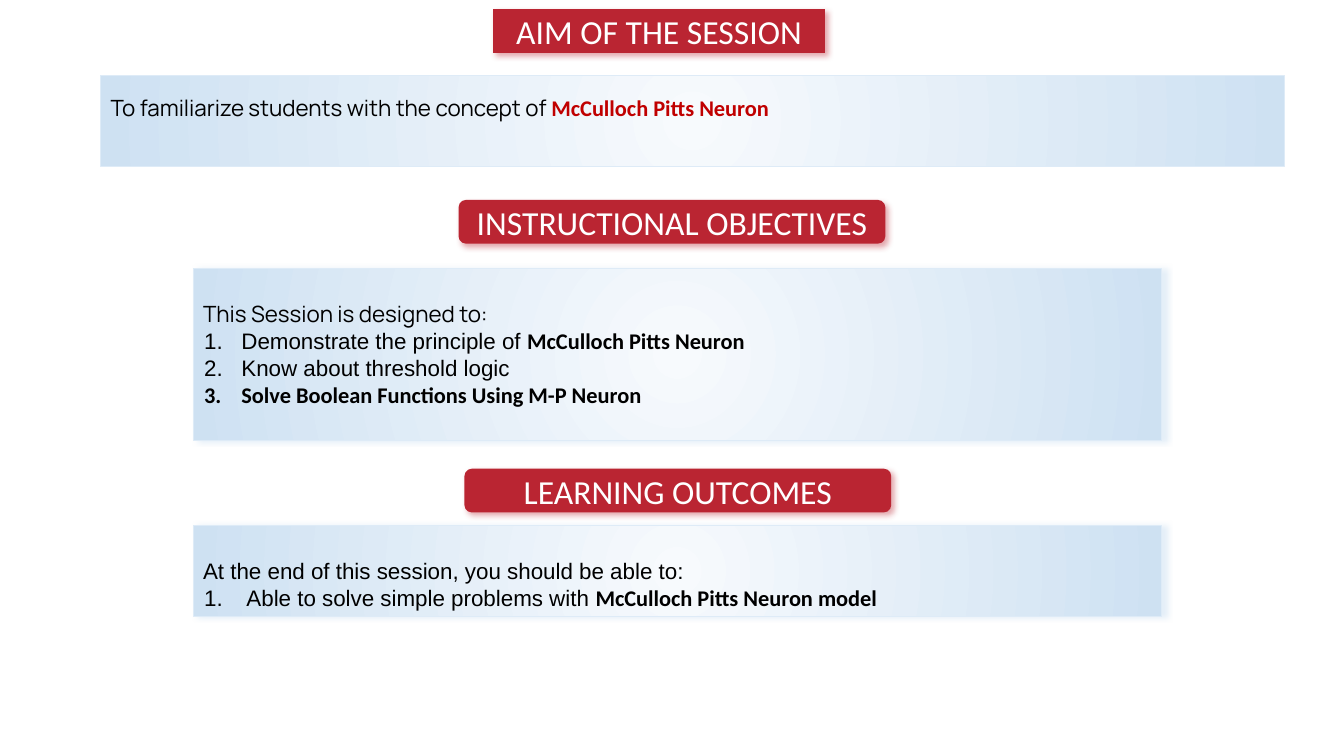
from lxml import etree
from pptx import Presentation
from pptx.dml.color import RGBColor
from pptx.enum.shapes import MSO_SHAPE
from pptx.enum.text import MSO_ANCHOR, MSO_AUTO_SIZE, PP_ALIGN
from pptx.oxml import parse_xml
from pptx.oxml.ns import nsdecls, qn
from pptx.util import Inches, Pt

RECTANGLE = MSO_SHAPE.RECTANGLE
ROUNDED = MSO_SHAPE.ROUNDED_RECTANGLE
MIDDLE, TOP = MSO_ANCHOR.MIDDLE, MSO_ANCHOR.TOP
FIXED, GROW = MSO_AUTO_SIZE.NONE, MSO_AUTO_SIZE.SHAPE_TO_FIT_TEXT
CENTER, LEFT = PP_ALIGN.CENTER, PP_ALIGN.LEFT

CRIMSON = RGBColor(0xBA, 0x25, 0x32)
RED = RGBColor(0xC0, 0x00, 0x00)
WHITE = RGBColor(0xFF, 0xFF, 0xFF)
BLACK = RGBColor(0x00, 0x00, 0x00)
PALE = RGBColor(0xF7, 0xFA, 0xFD)
SKY = RGBColor(0xCE, 0xE1, 0xF2)
EDGE = RGBColor(0xDE, 0xEB, 0xF7)
BLUE_SHADOW = RGBColor(0xBD, 0xD7, 0xEE)

COLUMNS, ROWS = 16, 9
BANNER_HEIGHT = 0.52
WIDE_BANNER = 5.08
PANEL_LEFT, PANEL_WIDTH = 2.3, 11.53


def add_run(paragraph, text, font="Calibri", size=16, color=BLACK, bold=False):
    run = paragraph.add_run()
    run.text = text
    run.font.name = font
    run.font.size = Pt(size)
    run.font.color.rgb = color
    run.font.bold = bold


class SessionSlide:
    def __init__(self, presentation):
        self.slide = presentation.slides.add_slide(presentation.slide_layouts[5])
        self.column = presentation.slide_width / COLUMNS
        self.row = presentation.slide_height / ROWS

    def place(self, left, top, width, height):
        return (round(left * self.column), round(top * self.row),
                round(width * self.column), round(height * self.row))

    def add_shadow(self, shape, color, angle):
        shape.shadow.inherit = False
        effects = shape.element.spPr.find(qn("a:effectLst"))
        effects.append(parse_xml(
            f'<a:outerShdw {nsdecls("a")} blurRad="{Pt(4)}" dist="{Pt(3)}" '
            f'dir="{angle * 60000}" algn="tl" rotWithShape="0">'
            f'<a:srgbClr val="{color}"><a:alpha val="40000"/></a:srgbClr></a:outerShdw>'))

    def style_banner(self, shape, text):
        shape.fill.solid()
        shape.fill.fore_color.rgb = CRIMSON
        shape.line.fill.background()
        self.add_shadow(shape, CRIMSON, 45)
        frame = shape.text_frame
        frame.auto_size = FIXED
        frame.word_wrap = True
        frame.vertical_anchor = MIDDLE
        paragraph = frame.paragraphs[0]
        paragraph.alignment = CENTER
        add_run(paragraph, text, size=24, color=WHITE)

    def title(self, text, left, top, width):
        shape = self.slide.shapes.title
        shape.left, shape.top, shape.width, shape.height = self.place(
            left, top, width, BANNER_HEIGHT)
        shape.element.spPr.find(qn("a:xfrm")).addnext(parse_xml(
            f'<a:prstGeom {nsdecls("a")} prst="roundRect"><a:avLst/></a:prstGeom>'))
        self.style_banner(shape, text)

    def banner(self, text, left, top, width):
        shape = self.slide.shapes.add_shape(
            ROUNDED, *self.place(left, top, width, BANNER_HEIGHT))
        self.style_banner(shape, text)

    def panel(self, left, top, width, height, shadow=True):
        shape = self.slide.shapes.add_shape(
            RECTANGLE, *self.place(left, top, width, height))
        shape.fill.gradient()
        for stop, position, color in zip(shape.fill.gradient_stops, (0, 1), (PALE, SKY)):
            stop.position = position
            stop.color.rgb = color
        gradient = shape.element.spPr.find(qn("a:gradFill"))
        gradient.replace(gradient.find(qn("a:lin")), parse_xml(
            f'<a:path {nsdecls("a")} path="circle">'
            '<a:fillToRect l="50000" t="50000" r="50000" b="50000"/></a:path>'))
        shape.line.color.rgb = EDGE
        shape.line.width = Pt(0.75)
        if shadow:
            self.add_shadow(shape, BLUE_SHADOW, 0)
        else:
            shape.shadow.inherit = False
        frame = shape.text_frame
        frame.word_wrap = True
        frame.auto_size = GROW
        frame.vertical_anchor = TOP
        return frame

    def intro(self, frame, text, spacing, font="Manrope"):
        paragraph = frame.paragraphs[0]
        paragraph.alignment = LEFT
        paragraph.line_spacing = spacing
        add_run(paragraph, text, font=font)
        return paragraph

    def numbered(self, frame, plain="", strong="", indent=0.38):
        paragraph = frame.add_paragraph()
        paragraph.alignment = LEFT
        properties = paragraph._p.get_or_add_pPr()
        properties.set("marL", str(Inches(indent)))
        properties.set("indent", str(-Inches(indent - 0.01)))
        color = etree.SubElement(properties, qn("a:buClr"))
        etree.SubElement(color, qn("a:srgbClr"), val=str(BLACK))
        etree.SubElement(properties, qn("a:buAutoNum"), type="arabicPeriod")
        if plain:
            add_run(paragraph, plain, font="Arial")
        if strong:
            add_run(paragraph, strong, bold=True)


def main():
    presentation = Presentation()
    presentation.slide_width = Inches(13.33)
    presentation.slide_height = Inches(7.5)
    session = SessionSlide(presentation)

    session.title("AIM OF THE SESSION", 5.87, 0.11, 3.95)
    aim = session.panel(1.2, 0.9, 14.09, 1.08, shadow=False)
    sentence = session.intro(aim, "To familiarize students with the concept of ", 1.5)
    add_run(sentence, "McCulloch Pitts Neuron", color=RED, bold=True)

    session.banner("INSTRUCTIONAL OBJECTIVES", 5.46, 2.38, WIDE_BANNER)
    objectives = session.panel(PANEL_LEFT, 3.2, PANEL_WIDTH, 2.04)
    session.intro(objectives, "This Session is designed to:", 2)
    session.numbered(objectives, "Demonstrate the principle of ", "McCulloch Pitts Neuron")
    session.numbered(objectives, "Know about threshold logic")
    session.numbered(objectives, strong="Solve Boolean Functions Using M-P Neuron")

    session.banner("LEARNING OUTCOMES", 5.53, 5.58, WIDE_BANNER)
    outcomes = session.panel(PANEL_LEFT, 6.26, PANEL_WIDTH, 1.08)
    session.intro(outcomes, "At the end of this session, you should be able to:", 2, "Arial")
    session.numbered(outcomes, "Able to solve simple problems with ",
                     "McCulloch Pitts Neuron model", indent=0.43)

    presentation.save("out.pptx")


if __name__ == "__main__":
    main()
